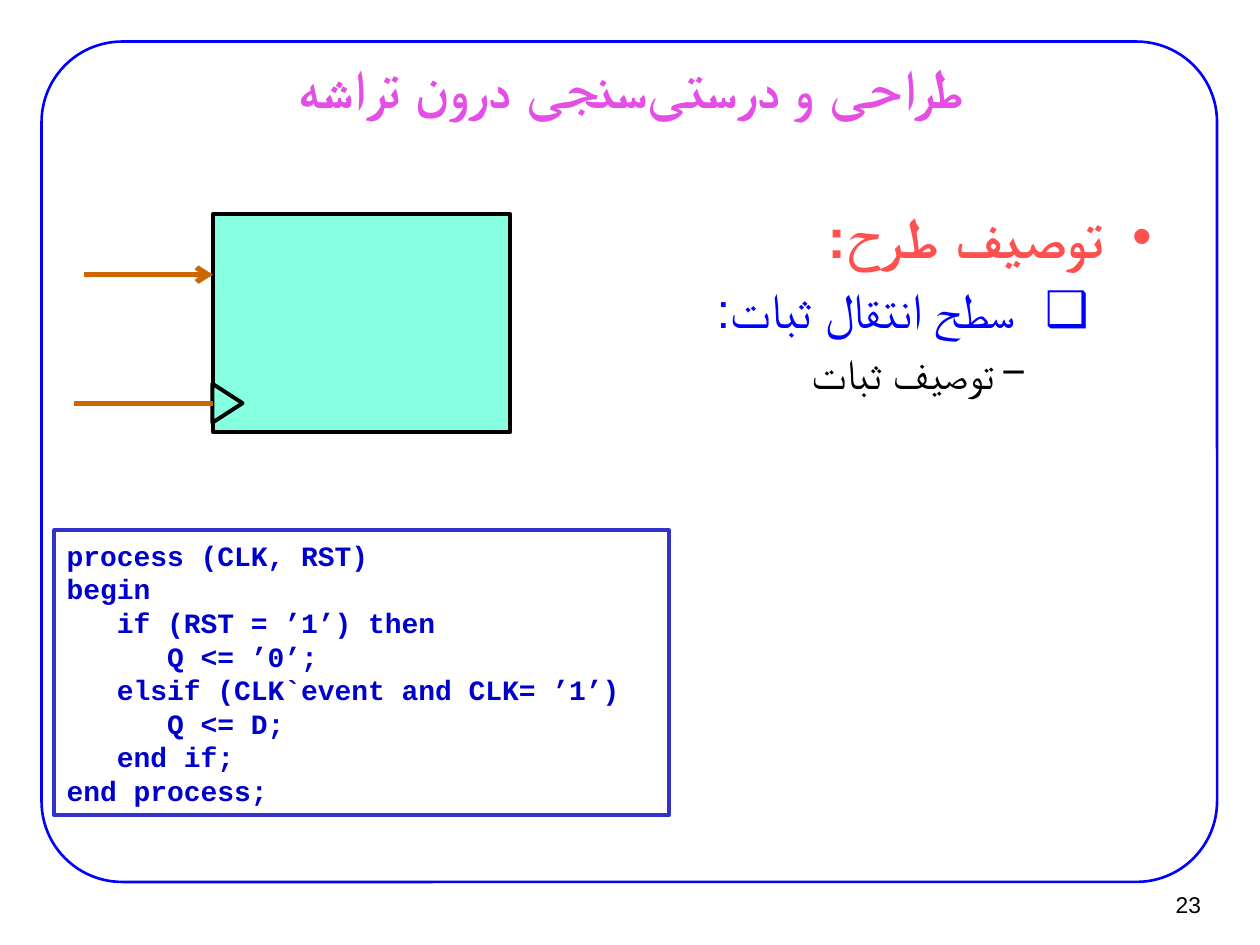
from lxml.etree import SubElement
from pptx import Presentation
from pptx.dml.color import RGBColor
from pptx.enum.shapes import MSO_CONNECTOR, MSO_SHAPE
from pptx.enum.text import MSO_ANCHOR, PP_ALIGN
from pptx.oxml.ns import qn
from pptx.util import Inches, Pt

deck = Presentation()
deck.slide_width, deck.slide_height = Inches(10), Inches(7.5)
col, row = deck.slide_width / 10, deck.slide_height / 7.5
slide = deck.slides.add_slide(deck.slide_layouts[6])
shapes = slide.shapes


def grid(*cells):
    """Turn column and row counts, in turn, into lengths."""
    return [round(n * (row if i % 2 else col)) for i, n in enumerate(cells)]


def style(item, size, hue, bold=False, name="Arial"):
    """Style every run of a paragraph, in Latin and Arabic script alike."""
    for run in item.runs:
        font = run.font
        font.size, font.bold, font.name = Pt(size), bold, name
        font.color.rgb = RGBColor.from_string(hue)
        SubElement(run._r.get_or_add_rPr(), qn("a:cs"), typeface=name)


# Frame, code box, register and clock mark, from back to front
CODE = [
    "process (CLK, RST)\nbegin\n   if (RST = ’1’) then",
    "      Q <= ’0’;",
    "   elsif (CLK`event and CLK= ’1’)\n      Q <= D;",
    "   end if;\nend process;",
]
parts = [
    ("frame", MSO_SHAPE.ROUNDED_RECTANGLE, (0.33, 0.33, 9.33, 6.67), None, "0000FF", 1.5),
    ("code", MSO_SHAPE.RECTANGLE, (0.43, 4.21, 4.88, 2.26), None, "3333CC", 2.25),
    ("block", MSO_SHAPE.RECTANGLE, (1.69, 1.7, 2.36, 1.73), "85FFE0", "000000", 2.25),
    ("clock", MSO_SHAPE.ISOSCELES_TRIANGLE, (1.65, 3.08, 0.31, 0.24), "85FFE0", "000000", 2.25),
]
made = {}
for key, kind, cells, fill, hue, width in parts:
    shape = made[key] = shapes.add_shape(kind, *grid(*cells))
    shape.shadow.inherit = False
    if fill:
        shape.fill.solid()
        shape.fill.fore_color.rgb = RGBColor.from_string(fill)
    else:
        shape.fill.background()
    shape.line.color.rgb = RGBColor.from_string(hue)
    shape.line.width = Pt(width)
made["frame"].adjustments[0] = 0.096
made["clock"].rotation = 90

frame = made["code"].text_frame
frame.word_wrap = True
frame.vertical_anchor = MSO_ANCHOR.MIDDLE
for i, text in enumerate(CODE):
    para = frame.add_paragraph() if i else frame.paragraphs[0]
    para.text = text
    para.alignment = PP_ALIGN.LEFT
    style(para, 16, "0000CC", True, "Courier New")

# Data and clock inputs
for left, top, arrow in [(0.67, 2.18, True), (0.59, 3.2, False)]:
    wire = shapes.add_connector(MSO_CONNECTOR.STRAIGHT, *grid(left, top, 1.69, top))
    wire.line.color.rgb = RGBColor.from_string("CC6600")
    wire.line.width = Pt(3)
    if arrow:
        SubElement(wire.line._get_or_add_ln(), qn("a:tailEnd"), type="arrow")
    SubElement(wire._element.spPr, qn("a:effectLst"))

# Title, bullet list and page number
joint = chr(0x200C)  # zero-width non-joiner
title = joint.join(["طراحی و درستی", "سنجی درون تراشه"])
texts = [
    ((0.76, 0.44, 8.5, 0.49), MSO_ANCHOR.MIDDLE, True, PP_ALIGN.CENTER,
     [(title, 31, "E44EE4", True, None)]),
    ((0.75, 1.55, 8.5, 1.86), MSO_ANCHOR.TOP, True, PP_ALIGN.RIGHT,
     [("توصیف طرح:", 32, "FF5050", True, ("•", 0.38, 0.38)),
      ("سطح انتقال ثبات:", 28, "0000FF", False, ("❑", 1.08, 0.58)),
      ("توصیف ثبات", 24, "000000", False, ("−", 1.25, 0.25))]),
    ((9.02, 6.99, 0.61, 0.37), MSO_ANCHOR.MIDDLE, False, PP_ALIGN.RIGHT,
     [("23", 13, "000000", False, None)]),
]
for cells, anchor, wrap, align, lines in texts:
    frame = shapes.add_textbox(*grid(*cells)).text_frame
    frame.word_wrap = wrap
    frame.vertical_anchor = anchor
    if wrap:
        frame.margin_left = frame.margin_right = Inches(0.11)
        frame.margin_top = frame.margin_bottom = Inches(0.06)
    for i, (text, size, hue, bold, mark) in enumerate(lines):
        para = frame.add_paragraph() if i else frame.paragraphs[0]
        para.text = text
        para.alignment = align
        if i:
            para.space_before = Pt(size * 0.2)
        if mark:
            sign, left, hang = mark
            props = para._p.get_or_add_pPr()
            for key, val in [("marL", Inches(left)), ("marR", 0),
                             ("indent", -Inches(hang)), ("lvl", i), ("rtl", 1)]:
                props.set(key, str(val))
            SubElement(props, qn("a:buFont"), typeface="Arial")
            SubElement(props, qn("a:buChar"), char=sign)
        style(para, size, hue, bold)

deck.save("out.pptx")
